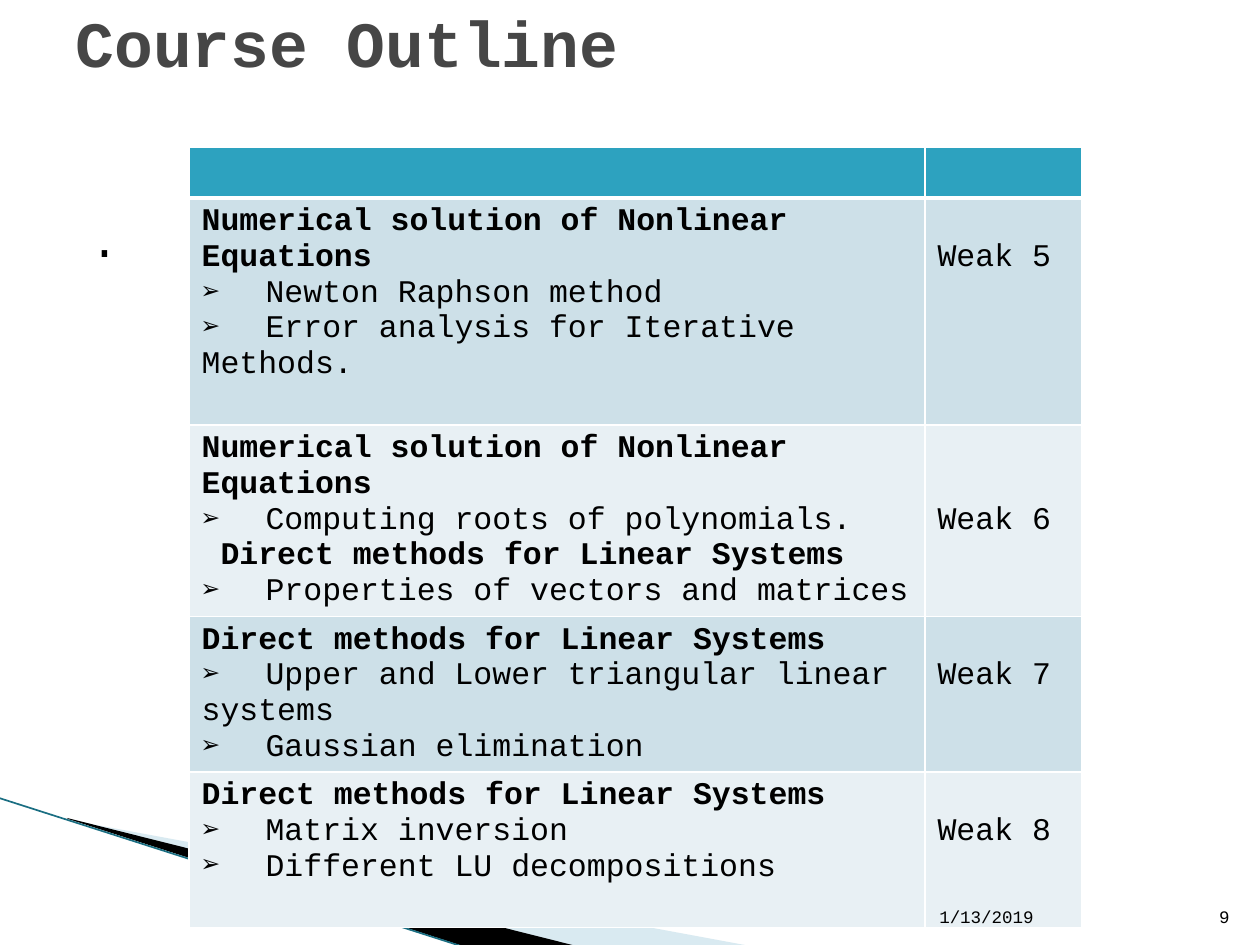
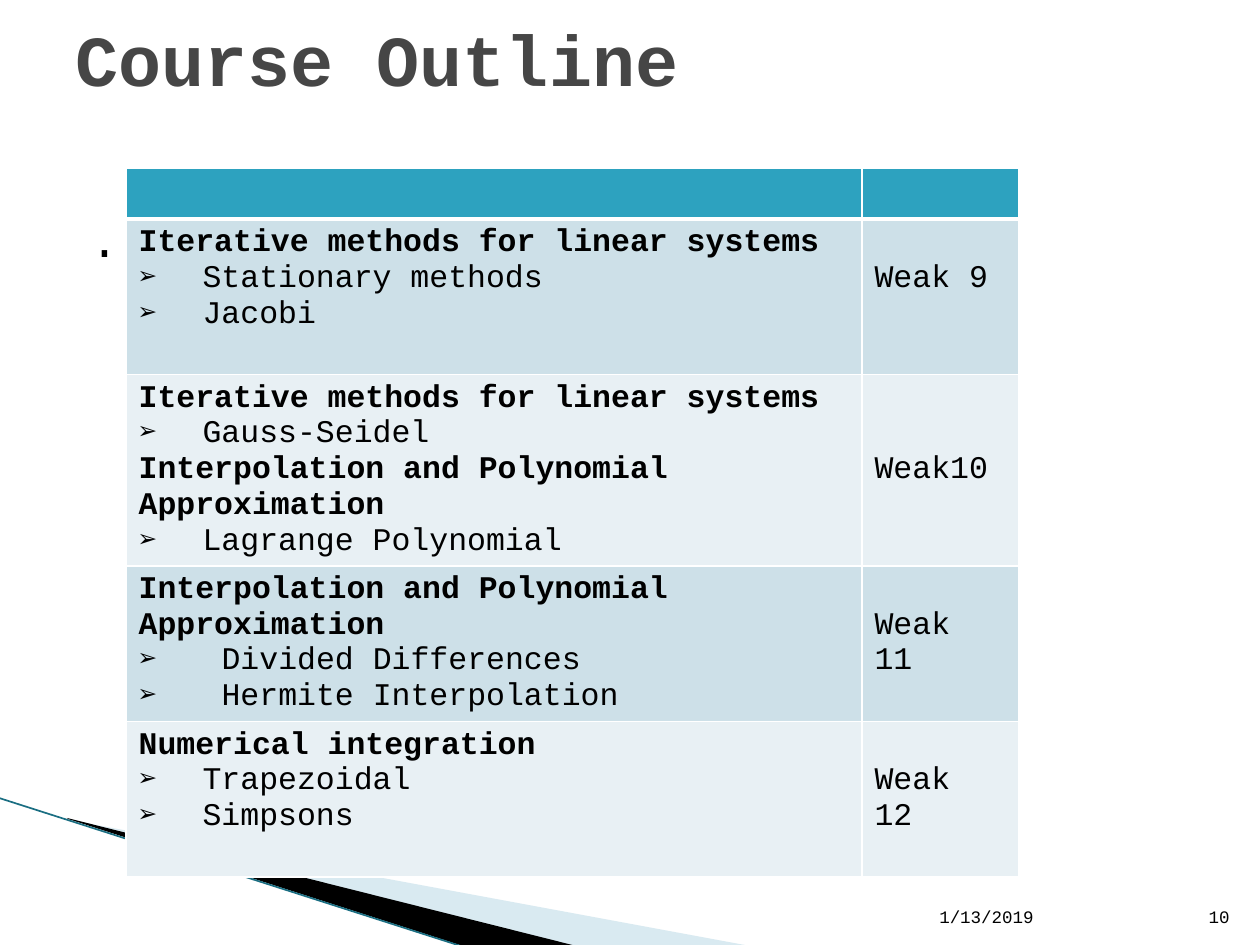
import pptx
import pptx.util
import pptx.dml.color
import pptx.enum.shapes
import pptx.enum.text
import pptx.oxml
import pptx.oxml.ns
from lxml import etree

PX = 914400 / 126
FONT = "Courier New"
BLACK, WHITE, GREY = "000000", "FFFFFF", "464646"
HEADER, BANDS = "2DA2BF", ("CDE0E8", "E8F0F4")
PALE, TEAL = "A0CBDC", "1A6E82"
LEFT, RIGHT = pptx.enum.text.PP_ALIGN.LEFT, pptx.enum.text.PP_ALIGN.RIGHT
TOP = pptx.enum.text.MSO_ANCHOR.TOP
MIDDLE = pptx.enum.text.MSO_ANCHOR.MIDDLE
BOTTOM = pptx.enum.text.MSO_ANCHOR.BOTTOM
COLUMNS = (736, 157)
HEADER_HEIGHT = 51
LINE_HEIGHT = 35.75

NONLINEAR = "Numerical solution of Nonlinear Equations"
DIRECT = "Direct methods for Linear Systems"
ITERATIVE = "Iterative methods for linear systems"
INTERPOLATION = "Interpolation and Polynomial Approximation"

# Each week: label, lines above the label, lines in the row,
# tab after the bullet, and (heading, topics) pairs
OUTLINES = [
    {"number": 9, "title_height": 84, "title_size": 36.9, "table_at": (189, 147),
     "weeks": [
         ("Weak 5", 1, 6, 64, [(NONLINEAR, ["Newton Raphson method",
                                            "Error analysis for Iterative Methods."])]),
         ("Weak 6", 2, 5, 64, [(NONLINEAR, ["Computing roots of polynomials."]),
                               (" " + DIRECT, ["Properties of vectors and matrices"])]),
         ("Weak 7", 1, 4, 64, [(DIRECT, ["Upper and Lower triangular linear systems",
                                         "Gaussian elimination"])]),
         ("Weak 8", 1, 4, 64, [(DIRECT, ["Matrix inversion",
                                         "Different LU decompositions"])]),
     ]},
    {"number": 10, "title_height": 116, "title_size": 41, "table_at": (126, 168),
     "weeks": [
         ("Weak 9", 1, 4, 64, [(ITERATIVE, ["Stationary methods", "Jacobi"])]),
         ("Weak10", 2, 5, 64, [(ITERATIVE, ["Gauss-Seidel"]),
                               (INTERPOLATION, ["Lagrange Polynomial"])]),
         ("Weak 11", 1, 4, 83, [(INTERPOLATION, ["Divided Differences",
                                                 "Hermite Interpolation"])]),
         ("Weak 12", 1, 4, 64, [("Numerical integration", ["Trapezoidal", "Simpsons"])]),
     ]},
]


def px(n):
    return pptx.util.Emu(round(n * PX))


def rgb(color):
    return pptx.dml.color.RGBColor.from_string(color)


def sub(parent, tag, **attrs):
    child = etree.SubElement(parent, pptx.oxml.ns.qn(tag))
    for name, value in attrs.items():
        child.set(name, str(value))
    return child


def place(sp, box):
    for name, value in zip(("left", "top", "width", "height"), box):
        setattr(sp, name, px(value))


def write(p, text, size=18, bold=False, color=BLACK, align=LEFT):
    p.alignment = align
    r = p.add_run()
    r.text = text
    for name, value in {"name": FONT, "size": pptx.util.Pt(size), "bold": bold}.items():
        setattr(r.font, name, value)
    r.font.color.rgb = rgb(color)


def frame(sp, anchor):
    tf = sp.text_frame
    settings = {"word_wrap": True, "vertical_anchor": anchor,
                "auto_size": pptx.enum.text.MSO_AUTO_SIZE.NONE}
    for name, value in settings.items():
        setattr(tf, name, value)
    return tf


def add_text(s, box, text, anchor, **style):
    sp = s.shapes.add_textbox(*map(px, box))
    p = frame(sp, anchor).paragraphs[0]
    write(p, text, **style)
    return p


def set_frame(sp, box):
    """Give a freeform a new frame and leave its outline where it is."""
    left, top = sp.left, sp.top
    place(sp, box)
    outline = next(sp._element.iter(pptx.oxml.ns.qn("a:path")))
    outline.set("w", str(sp.width))
    outline.set("h", str(sp.height))
    for pt in outline.iter(pptx.oxml.ns.qn("a:pt")):
        pt.set("x", str(int(pt.get("x")) + left - sp.left))
        pt.set("y", str(int(pt.get("y")) + top - sp.top))


def add_wedge(s, box, points, color, alpha=100):
    corners = [(px(x), px(y)) for x, y in points]
    builder = s.shapes.build_freeform(*corners[0])
    builder.add_line_segments(corners[1:], close=True)
    sp = builder.convert_to_shape()
    set_frame(sp, box)
    sp.shadow.inherit = False
    sp.fill.solid()
    sp.fill.fore_color.rgb = rgb(color)
    sp.line.fill.background()
    if alpha < 100:
        fill = sp._element.spPr.find(pptx.oxml.ns.qn("a:solidFill"))
        sub(fill[0], "a:alpha", val=alpha * 1000)


def add_corner(s):
    """Swoosh in the lower left corner."""
    add_wedge(s, (98, 689, 524, 199),
              [(69, 820), (750, 946), (575, 946), (69, 819)], PALE, 40)
    add_wedge(s, (-8, 798, 524, 116),
              [(67, 818), (576, 946), (469, 948), (68, 819)], BLACK)
    edge = s.shapes.add_connector(pptx.enum.shapes.MSO_CONNECTOR.STRAIGHT,
                                  px(-1), px(798), px(467), px(948))
    edge.line.color.rgb = rgb(TEAL)
    edge.line.width = pptx.util.Pt(0.95)
    sub(edge._element.spPr, "a:effectLst")


def add_title(s, height, size):
    sp = s.shapes.title
    place(sp, (63, 0, 1134, height))
    write(frame(sp, MIDDLE).paragraphs[0], "Course Outline", size, True, GREY)


def add_body(s):
    p = add_text(s, (63, 204, 1134, 624), ".", TOP, size=27)
    p.space_before = pptx.util.Pt(4)
    pPr = p._p.get_or_add_pPr()
    pPr.set("marL", str(px(50)))
    pPr.set("indent", str(px(-35)))


def add_footer(s, number):
    add_text(s, (927, 883, 265, 50), "1/13/2019", BOTTOM, size=10)
    add_text(s, (1192, 883, 50, 50), str(number), BOTTOM, size=10, align=RIGHT)


def format_cell(cell, color, top=1, bottom=1):
    tcPr = cell._tc.get_or_add_tcPr()
    for side, width in {"L": 1, "R": 1, "T": top, "B": bottom}.items():
        ln = sub(tcPr, "a:ln" + side, w=pptx.util.Pt(width))
        sub(sub(ln, "a:solidFill"), "a:srgbClr", val=WHITE)
    cell.fill.solid()
    cell.fill.fore_color.rgb = rgb(color)


def add_bullet(p, tab):
    pPr = p._p.get_or_add_pPr()
    pPr.set("marL", "0")
    pPr.set("indent", "0")
    sub(pPr, "a:buFont", typeface=FONT)
    sub(pPr, "a:buChar", char="➢")
    sub(sub(pPr, "a:tabLst"), "a:tab", pos=px(tab), algn="l")


def fill_topics(tf, sections, tab):
    lines = []
    for heading, topics in sections:
        lines.append((heading, True))
        lines += [(topic, False) for topic in topics]
    for i, (text, is_heading) in enumerate(lines):
        p = tf.add_paragraph() if i else tf.paragraphs[0]
        write(p, text if is_heading else "\t" + text, bold=is_heading)
        if not is_heading:
            add_bullet(p, tab)


def add_outline(s, at, weeks):
    heights = [HEADER_HEIGHT] + [12.6 + LINE_HEIGHT * week[2] for week in weeks]
    box = (*at, sum(COLUMNS), sum(heights))
    tbl = s.shapes.add_table(len(heights), len(COLUMNS), *map(px, box)).table
    tbl.first_row = tbl.horz_banding = False
    for column, width in zip(tbl.columns, COLUMNS):
        column.width = px(width)
    for row, height in zip(tbl.rows, heights):
        row.height = px(height)

    # Empty header row
    for cell in tbl.rows[0].cells:
        format_cell(cell, HEADER, bottom=3)

    # One row a week
    for i, (label, gap, _, tab, sections) in enumerate(weeks):
        topics, week = tbl.rows[i + 1].cells
        for cell in (topics, week):
            format_cell(cell, BANDS[i % 2], top=1 if i else 3)
        fill_topics(topics.text_frame, sections, tab)
        week.margin_top = px(6.3 + LINE_HEIGHT * gap)
        write(week.text_frame.paragraphs[0], label)


def add_outline_slide(prs, outline):
    s = prs.slides.add_slide(prs.slide_layouts[5])
    add_corner(s)
    add_body(s)
    add_title(s, outline["title_height"], outline["title_size"])
    add_outline(s, outline["table_at"], outline["weeks"])
    add_footer(s, outline["number"])


def main():
    prs = pptx.Presentation()
    prs.slide_width, prs.slide_height = px(1260), px(945)
    for outline in OUTLINES:
        add_outline_slide(prs, outline)
    prs.save("out.pptx")


if __name__ == "__main__":
    main()
